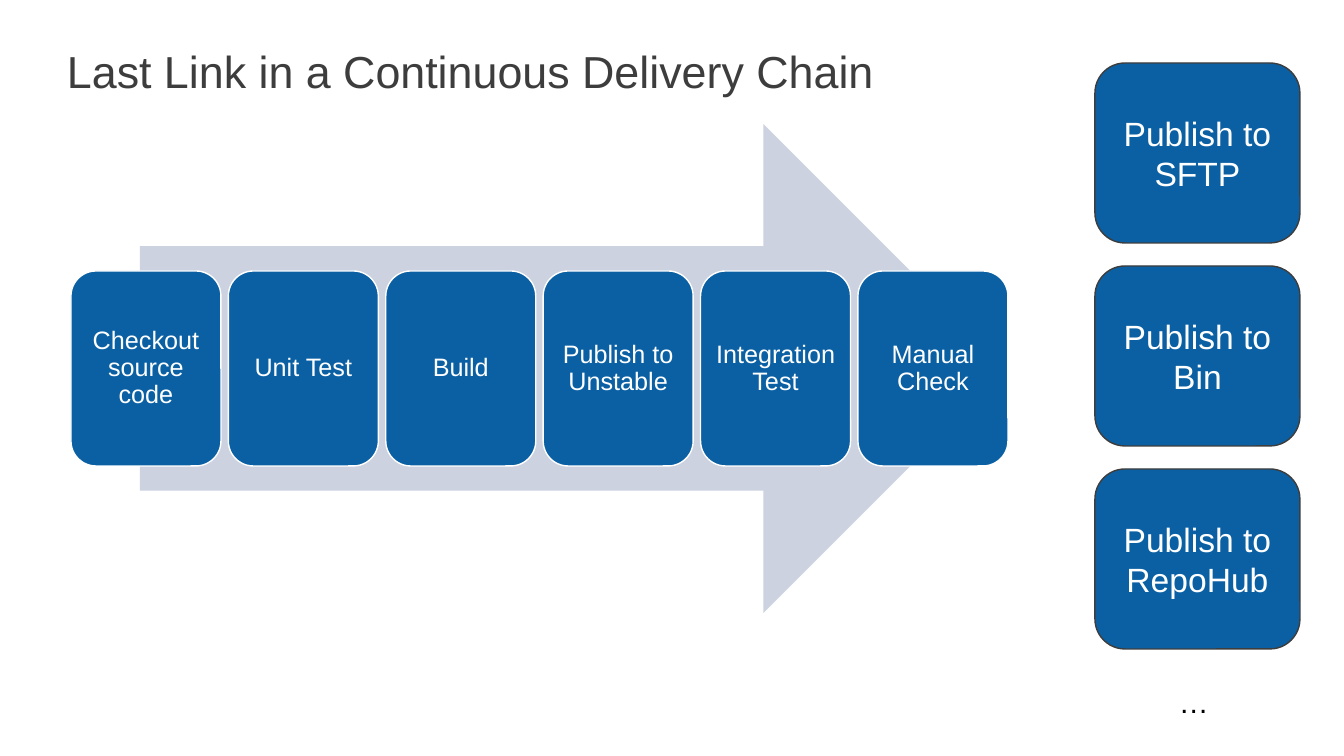
from pptx import Presentation
from pptx.dml.color import RGBColor
from pptx.enum.shapes import MSO_SHAPE
from pptx.enum.text import MSO_ANCHOR, MSO_AUTO_SIZE, PP_ALIGN
from pptx.util import Emu, Pt

ARROW, ROUNDED = MSO_SHAPE.RIGHT_ARROW, MSO_SHAPE.ROUNDED_RECTANGLE
TOP, MIDDLE = MSO_ANCHOR.TOP, MSO_ANCHOR.MIDDLE
LEFT, CENTER = PP_ALIGN.LEFT, PP_ALIGN.CENTER
FIT_SHAPE = MSO_AUTO_SIZE.SHAPE_TO_FIT_TEXT

BLUE = RGBColor(0x0A, 0x60, 0xA3)
PALE = RGBColor(0xCC, 0xD2, 0xE0)
DARK = RGBColor(0x3D, 0x3D, 0x3D)
WHITE = RGBColor(0xFF, 0xFF, 0xFF)
BLACK = RGBColor(0x00, 0x00, 0x00)

FONT = "Arial"
EMU_PER_PX = 914400 / 100.8
STEPS = ["Checkout source code", "Unit Test", "Build",
         "Publish to Unstable", "Integration Test", "Manual Check"]
TARGETS = ["Publish to SFTP", "Publish to Bin", "Publish to RepoHub"]


def px(length):
    return Emu(round(length * EMU_PER_PX))


def write(shape, text, size, color, align=CENTER, anchor=MIDDLE,
          inset_x=0, inset_y=5, spacing=1.0, wrap=True):
    frame = shape.text_frame
    frame.word_wrap = wrap
    frame.vertical_anchor = anchor
    frame.margin_left = frame.margin_right = px(inset_x)
    frame.margin_top = frame.margin_bottom = px(inset_y)
    paragraph = frame.paragraphs[0]
    paragraph.text = text
    paragraph.alignment = align
    paragraph.line_spacing = spacing
    paragraph.font.name = FONT
    paragraph.font.size = Pt(size)
    paragraph.font.color.rgb = color


def add_block(slide, kind, box, fill, line=None):
    shape = slide.shapes.add_shape(kind, *map(px, box))
    shape.shadow.inherit = False
    shape.fill.solid()
    shape.fill.fore_color.rgb = fill
    if line is None:
        shape.line.fill.background()
    else:
        shape.line.color.rgb = line
        shape.line.width = Pt(1)
    return shape


def add_title(slide, box):
    title = slide.shapes.add_textbox(*map(px, box))
    write(title, "Last Link in a Continuous Delivery Chain", 32, DARK,
          align=LEFT, spacing=0.9)


def add_pipeline(slide, left, top, width, height):
    # Arrow behind the steps, ending level with the last one
    indent = 69
    add_block(slide, ARROW, (left + indent, top, width - indent, height), PALE)

    # Steps spread evenly across the width, centred on the arrow
    step_width, step_height = 150, 195
    pitch = (width - step_width) / (len(STEPS) - 1)
    step_top = top + (height - step_height) / 2
    for index, label in enumerate(STEPS):
        box = (left + index * pitch, step_top, step_width, step_height)
        step = add_block(slide, ROUNDED, box, BLUE, WHITE)
        write(step, label, 18, WHITE, inset_x=7, inset_y=7, spacing=0.9)


def add_targets(slide, left, top, width, height):
    # Publishing targets
    card_height = 180
    pitch = (height - card_height) / (len(TARGETS) - 1)
    for index, label in enumerate(TARGETS):
        box = (left, top + index * pitch, width, card_height)
        card = add_block(slide, ROUNDED, box, BLUE, DARK)
        write(card, label, 24, WHITE)

    # More to follow
    more = slide.shapes.add_textbox(px(left + 84), px(top + height + 30),
                                    px(30), px(46))
    write(more, "…", 21.3, BLACK, align=LEFT, anchor=TOP, wrap=False)
    more.text_frame.auto_size = FIT_SHAPE


def main():
    presentation = Presentation()
    presentation.slide_width = px(1344)
    presentation.slide_height = px(756)
    slide = presentation.slides.add_slide(presentation.slide_layouts[6])
    add_title(slide, (67, 40, 1210, 68))
    add_pipeline(slide, 71, 124, 937, 489)
    add_targets(slide, 1095, 63, 205, 586)
    presentation.save("out.pptx")


if __name__ == "__main__":
    main()
